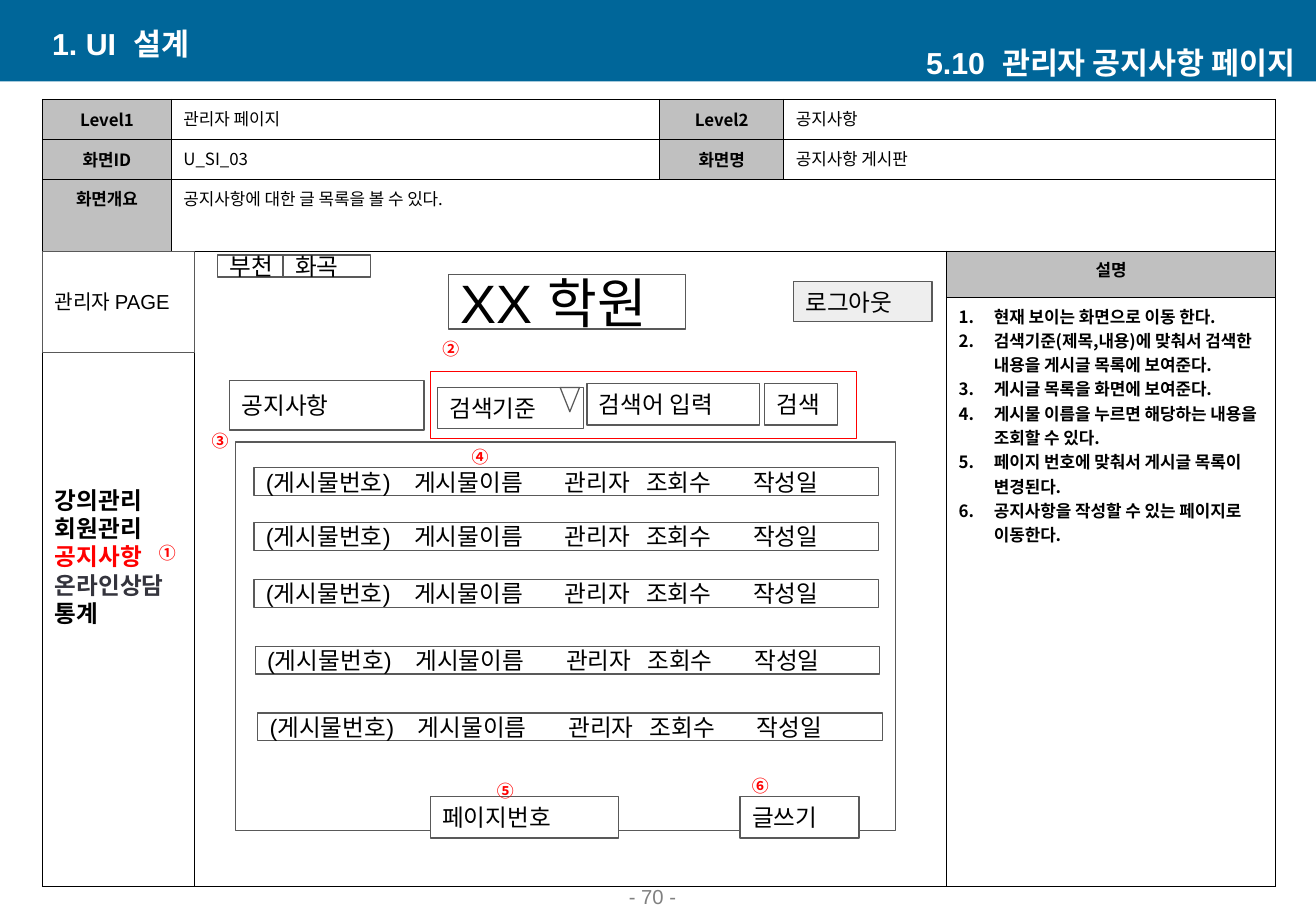
"""Build the admin notice page screen design slide."""
from lxml import etree
from pptx import Presentation
from pptx import util as u
from pptx.dml.color import RGBColor
from pptx.enum import shapes, text
from pptx.oxml.ns import qn

WHITE = RGBColor(0xFF, 0xFF, 0xFF)
BLACK = RGBColor(0, 0, 0)
RED = RGBColor(0xFF, 0, 0)
BLUE = RGBColor(0x00, 0x66, 0x99)
LABEL_GRAY = RGBColor(0xC0, 0xC0, 0xC0)
BUTTON_GRAY = RGBColor(0xEE, 0xEE, 0xEE)
PAGE_GRAY = RGBColor(0x80, 0x80, 0x80)
LINE_GRAY = RGBColor(0x59, 0x59, 0x59)
SLATE = RGBColor(0x34, 0x34, 0x3D)

ARIAL = "Arial"
NOTO = "Noto Sans CJK KR"
LEFT, CENTER, RIGHT = text.PP_ALIGN.LEFT, text.PP_ALIGN.CENTER, text.PP_ALIGN.RIGHT
TOP, MIDDLE, BOTTOM = text.MSO_ANCHOR.TOP, text.MSO_ANCHOR.MIDDLE, text.MSO_ANCHOR.BOTTOM

COL_WIDTHS = [1.06, 4.02, 1.02, 1.34, 2.71]
ROW_HEIGHTS = [0.33, 0.33, 0.59, 0.38, 4.85]
MERGES = [(0, 3, 0, 4), (1, 3, 1, 4), (2, 1, 2, 4), (3, 0, 4, 3)]
LABELS = [(0, 0, "Level1", MIDDLE), (0, 2, "Level2", MIDDLE), (1, 0, "화면ID", MIDDLE),
          (1, 2, "화면명", MIDDLE), (2, 0, "화면개요", TOP), (3, 4, "설명", TOP)]
VALUES = [(0, 1, "관리자 페이지"), (0, 3, "공지사항"), (1, 1, "U_SI_03"),
          (1, 3, "공지사항 게시판"), (2, 1, "공지사항에 대한 글 목록을 볼 수 있다.")]
NOTES = ["현재 보이는 화면으로 이동 한다.",
         "검색기준(제목,내용)에 맞춰서 검색한 내용을 게시글 목록에 보여준다.",
         "게시글 목록을 화면에 보여준다.",
         "게시물 이름을 누르면 해당하는 내용을 조회할 수 있다.",
         "페이지 번호에 맞춰서 게시글 목록이 변경된다.",
         "공지사항을 작성할 수 있는 페이지로 이동한다."]
MENU = [("강의관리", BLACK), ("회원관리", BLACK), ("공지사항", RED),
        ("온라인상담", SLATE), ("통계", BLACK)]
BOXES = [("XX 학원", 3.69, 2.26, 1.95, 0.45, 32), ("관리자 PAGE", 0.35, 2.07, 1.25, 0.83, 12),
         ("부천", 1.79, 2.1, 0.6, 0.18, 14), ("화곡", 2.33, 2.1, 0.72, 0.18, 14),
         ("", 1.94, 3.64, 5.43, 3.2, 14), ("글쓰기", 6.09, 6.56, 0.98, 0.34, 14),
         ("페이지번호", 3.54, 6.56, 1.55, 0.34, 14), ("검색기준", 3.6, 3.19, 1.2, 0.34, 14),
         ("공지사항", 1.89, 3.13, 1.6, 0.41, 14), ("검색어 입력", 4.83, 3.16, 1.42, 0.34, 14),
         ("검색", 6.29, 3.16, 0.6, 0.34, 14)]
POST = "(게시물번호)\t게시물이름\t관리자\t조회수\t작성일"
POST_TABS = [1.22, 2.46, 3.13, 4.01]
POST_ROWS = [(2.09, 3.85), (2.09, 4.3), (2.09, 4.77), (2.1, 5.32), (2.12, 5.87)]
MARKERS = [("①", 1.21, 4.42, LEFT), ("②", 3.54, 2.74, CENTER), ("③", 1.64, 3.5, CENTER),
           ("④", 3.78, 3.63, CENTER), ("⑤", 3.99, 6.38, LEFT), ("⑥", 6.09, 6.34, LEFT)]


def add_run(p, words, size, color=BLACK, bold=False, font=ARIAL):
    """Add one formatted run, with the Korean font set too."""
    r = p.add_run()
    r.text = words
    r.font.size, r.font.bold, r.font.name = u.Pt(size), bold, font
    r.font.color.rgb = color
    ea = etree.SubElement(r.font._element, qn("a:ea"))
    ea.set("typeface", NOTO)


def place(sp, x, y, w, h):
    """Set the position and size of a shape."""
    sp.left, sp.top, sp.width, sp.height = (u.Inches(v) for v in (x, y, w, h))


def set_frame(tf, anchor, top=0.05, bottom=0.05, right=0.1):
    """Set wrapping, anchor and insets of a text frame."""
    tf.word_wrap, tf.auto_size = True, text.MSO_AUTO_SIZE.NONE
    tf.vertical_anchor = anchor
    tf.margin_left, tf.margin_right = u.Inches(0.1), u.Inches(right)
    tf.margin_top, tf.margin_bottom = u.Inches(top), u.Inches(bottom)


def style_shape(sp, fill, line):
    """Set fill and thin outline; None leaves either one out."""
    if fill is None:
        sp.fill.background()
    else:
        sp.fill.solid()
        sp.fill.fore_color.rgb = fill
    if line is None:
        sp.line.fill.background()
    else:
        sp.line.color.rgb = line
        sp.line.width = u.Pt(0.75)


def add_box(s, words, x, y, w, h, size=14, fill=WHITE, line=LINE_GRAY,
            kind=shapes.MSO_SHAPE.RECTANGLE):
    """Add an outlined shape with optional left-aligned text."""
    sp = s.shapes.add_shape(kind, *(u.Inches(v) for v in (x, y, w, h)))
    sp.shadow.inherit = False
    style_shape(sp, fill, line)
    if words:
        set_frame(sp.text_frame, MIDDLE, 0.1, 0.1)
        p = sp.text_frame.paragraphs[0]
        p.alignment = LEFT
        add_run(p, words, size)
    return sp


def add_label(s, words, x, y, w, h, size, color, bold, font, align, anchor):
    """Add a one-line text box."""
    sp = s.shapes.add_textbox(*(u.Inches(v) for v in (x, y, w, h)))
    set_frame(sp.text_frame, anchor)
    p = sp.text_frame.paragraphs[0]
    p.alignment = align
    add_run(p, words, size, color, bold, font)


def add_post(s, x, y):
    """Add one post row with its columns on tab stops."""
    sp = add_box(s, POST, x, y, 5.14, 0.23)
    pPr = sp.text_frame.paragraphs[0]._p.get_or_add_pPr()
    tabs = etree.SubElement(pPr, qn("a:tabLst"))
    for pos in POST_TABS:
        etree.SubElement(tabs, qn("a:tab"), pos=str(u.Inches(pos)), algn="l")


def style_cell(cell):
    """Give a cell black borders and no fill."""
    tcPr = cell._tc.get_or_add_tcPr()
    for side in ("a:lnL", "a:lnR", "a:lnT", "a:lnB"):
        ln = etree.SubElement(tcPr, qn(side), w=str(u.Pt(1)))
        fill = etree.SubElement(ln, qn("a:solidFill"))
        etree.SubElement(fill, qn("a:srgbClr"), val=str(BLACK))
    cell.fill.background()


def fill_notes(tf):
    """Write the numbered notes."""
    for i, note in enumerate(NOTES):
        p = tf.add_paragraph() if i else tf.paragraphs[0]
        add_run(p, note, 10, bold=True, font=NOTO)
        pPr = p._p.get_or_add_pPr()
        pPr.set("marL", str(u.Inches(0.29)))
        pPr.set("indent", str(u.Inches(-0.29)))
        etree.SubElement(pPr, qn("a:buAutoNum"), type="arabicPeriod")


def add_spec_table(s):
    """Add the table that frames the screen."""
    frame = s.shapes.add_table(5, 5, u.Inches(0.35), u.Inches(0.82),
                               u.Inches(sum(COL_WIDTHS)), u.Inches(sum(ROW_HEIGHTS)))
    tbl = frame.table
    tbl.first_row = tbl.horz_banding = False
    for col, width in zip(tbl.columns, COL_WIDTHS):
        col.width = u.Inches(width)
    for row, height in zip(tbl.rows, ROW_HEIGHTS):
        row.height = u.Inches(height)
    for cell in tbl.iter_cells():
        style_cell(cell)
    for r0, c0, r1, c1 in MERGES:
        tbl.cell(r0, c0).merge(tbl.cell(r1, c1))
    for r, c, words, anchor in LABELS:
        cell = tbl.cell(r, c)
        cell.fill.solid()
        cell.fill.fore_color.rgb = LABEL_GRAY
        cell.vertical_anchor = anchor
        p = cell.text_frame.paragraphs[0]
        p.alignment = CENTER
        add_run(p, words, 10, bold=True, font=NOTO)
    for r, c, words in VALUES:
        add_run(tbl.cell(r, c).text_frame.paragraphs[0], words, 10, font=NOTO)
    fill_notes(tbl.cell(4, 4).text_frame)


def fill_title(sp):
    """Format the title placeholder in the header bar."""
    place(sp, 6.45, 0.35, 4.38, 0.33)
    set_frame(sp.text_frame, MIDDLE, right=0.17)
    p = sp.text_frame.paragraphs[0]
    p.alignment = RIGHT
    add_run(p, "5.10  관리자 공지사항 페이지", 18, WHITE, True)


def fill_menu(sp):
    """Format the body placeholder as the side menu."""
    place(sp, 0.35, 2.09, 1.25, 5.21)
    style_shape(sp, WHITE, BLACK)
    tf = sp.text_frame
    set_frame(tf, MIDDLE, 0.1, 0.33)
    for i, (words, color) in enumerate(MENU):
        p = tf.add_paragraph() if i else tf.paragraphs[0]
        p.alignment, p.space_before = LEFT, u.Pt(0)
        add_run(p, words, 14, color, True)
        pPr = p._p.get_or_add_pPr()
        pPr.set("marL", "0")
        pPr.set("indent", "0")
        etree.SubElement(pPr, qn("a:buNone"))


def main():
    """Build and save the slide."""
    prs = Presentation()
    prs.slide_width, prs.slide_height = u.Inches(10.83), u.Inches(7.5)
    s = prs.slides.add_slide(prs.slide_layouts[1])
    title, menu = s.shapes.title, s.placeholders[1]
    add_box(s, "", 0, 0, 10.83, 0.67, fill=BLUE, line=None)
    add_label(s, "- 70 -", 4.24, 7.3, 2.26, 0.23, 12, PAGE_GRAY, False, ARIAL, CENTER, BOTTOM)
    add_label(s, "1. UI  설계", 0.33, 0.19, 4.38, 0.33, 18, WHITE, True, ARIAL, LEFT, MIDDLE)
    add_spec_table(s)
    fill_title(title)
    fill_menu(menu)
    for sp in (title, menu):
        sp.element.getparent().append(sp.element)
    for box in BOXES:
        add_box(s, *box)
    add_box(s, "로그아웃", 6.53, 2.32, 1.14, 0.33, fill=BUTTON_GRAY)
    add_box(s, "", 3.54, 3.06, 3.51, 0.55, fill=None, line=RED)
    add_box(s, "", 4.61, 3.19, 0.16, 0.2, kind=shapes.MSO_SHAPE.FLOWCHART_MERGE)
    for x, y in POST_ROWS:
        add_post(s, x, y)
    for words, x, y, align in MARKERS:
        add_label(s, words, x, y, 0.34, 0.27, 10, RED, True, NOTO, align, TOP)
    prs.save("out.pptx")


if __name__ == "__main__":
    main()
